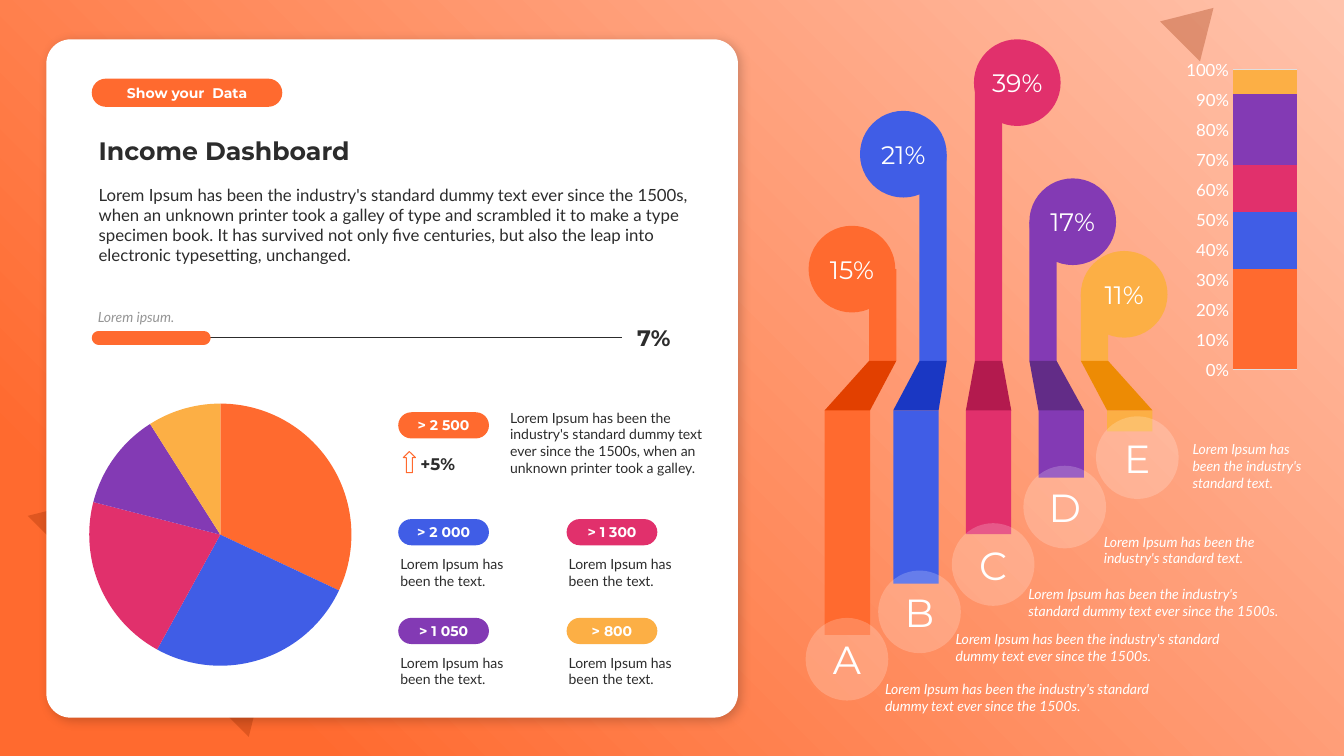
from lxml import etree
from pptx import Presentation
from pptx.chart.data import CategoryChartData
from pptx.dml.color import RGBColor
from pptx.enum.chart import XL_CHART_TYPE, XL_TICK_MARK
from pptx.enum.shapes import MSO_CONNECTOR, MSO_SHAPE
from pptx.enum.text import MSO_ANCHOR, PP_ALIGN
from pptx.oxml import parse_xml
from pptx.oxml.ns import nsdecls, qn
from pptx.util import Pt

PX = 9144  # 100 px to the inch

RECT, ROUNDED, OVAL = MSO_SHAPE.RECTANGLE, MSO_SHAPE.ROUNDED_RECTANGLE, MSO_SHAPE.OVAL
TRIANGLE, UP_ARROW = MSO_SHAPE.ISOSCELES_TRIANGLE, MSO_SHAPE.UP_ARROW
STRAIGHT = MSO_CONNECTOR.STRAIGHT
TOP, MIDDLE, BOTTOM = MSO_ANCHOR.TOP, MSO_ANCHOR.MIDDLE, MSO_ANCHOR.BOTTOM
LEFT, CENTER = PP_ALIGN.LEFT, PP_ALIGN.CENTER
PIE, STACKED = XL_CHART_TYPE.PIE, XL_CHART_TYPE.COLUMN_STACKED_100
NO_TICK = XL_TICK_MARK.NONE

WHITE = RGBColor(0xFF, 0xFF, 0xFF)
INK = RGBColor(0x2C, 0x2C, 0x2C)
GREY = RGBColor(0x96, 0x96, 0x96)
GRID = RGBColor(0xDF, 0xDF, 0xDF)
BROWN = RGBColor(0x97, 0x2B, 0x00)
ORANGE = RGBColor(0xFF, 0x6A, 0x2F)
BLUE = RGBColor(0x40, 0x5D, 0xE6)
PINK = RGBColor(0xE1, 0x30, 0x6C)
PURPLE = RGBColor(0x83, 0x3A, 0xB4)
YELLOW = RGBColor(0xFC, 0xAF, 0x45)
DARK_ORANGE = RGBColor(0xE2, 0x40, 0x00)
DARK_BLUE = RGBColor(0x1A, 0x37, 0xC3)
DARK_PINK = RGBColor(0xB3, 0x1A, 0x4E)
DARK_PURPLE = RGBColor(0x62, 0x2C, 0x87)
DARK_YELLOW = RGBColor(0xED, 0x8B, 0x04)
PALETTE = [ORANGE, BLUE, PINK, PURPLE, YELLOW]

BODY, HEADING = "Lato", "Montserrat"

GLOW = f"""<a:gradFill {nsdecls('a')} rotWithShape="1"><a:gsLst>
<a:gs pos="0"><a:srgbClr val="FFC3AC"/></a:gs><a:gs pos="85000"><a:srgbClr val="{ORANGE}"/></a:gs>
</a:gsLst><a:path path="circle"><a:fillToRect l="100000" b="100000"/></a:path></a:gradFill>"""
CARD_SHADOW = f"""<a:effectLst {nsdecls('a')}><a:outerShdw blurRad="101600" dist="38100" dir="2700000"
algn="tl" rotWithShape="0"><a:srgbClr val="000000"><a:alpha val="20000"/></a:srgbClr></a:outerShdw></a:effectLst>"""


class Slide:
    """Holds the page and draws styled elements on it, measured in px."""

    def __init__(self, page):
        self.page = page

    def set_text(self, frame, text, size, color, font=BODY, align=LEFT, anchor=TOP,
                 bold=False, italic=False, margins=(10, 5, 10, 5)):
        frame.word_wrap = True
        frame.vertical_anchor = anchor
        (frame.margin_left, frame.margin_top,
         frame.margin_right, frame.margin_bottom) = [m * PX for m in margins]
        para = frame.paragraphs[0]
        para.text = text
        para.alignment = align
        para.font.size, para.font.name = Pt(size), font
        para.font.bold, para.font.italic = bold, italic
        para.font.color.rgb = color

    def text(self, x, y, w, h, text, size, color=INK, **style):
        box = self.page.shapes.add_textbox(x * PX, y * PX, w * PX, h * PX)
        self.set_text(box.text_frame, text, size, color, **style)

    def paint(self, shape, color, opacity=100):
        shape.shadow.inherit = False
        shape.line.fill.background()
        shape.fill.solid()
        shape.fill.fore_color.rgb = color
        if opacity < 100:
            tint = shape._element.spPr.find(".//" + qn("a:srgbClr"))
            etree.SubElement(tint, qn("a:alpha"), val=str(opacity * 1000))

    def shape(self, kind, x, y, w, h, color, opacity=100):
        shape = self.page.shapes.add_shape(kind, x * PX, y * PX, w * PX, h * PX)
        self.paint(shape, color, opacity)
        return shape

    def pill(self, x, y, w, h, label, color):
        pill = self.shape(ROUNDED, x, y, w, h, color)
        pill.adjustments[0] = 0.5
        self.set_text(pill.text_frame, label, 10, WHITE, font=HEADING, bold=True,
                      align=CENTER, anchor=MIDDLE, margins=(0, 0, 0, 0))

    def disc(self, x, y, diameter, label, size, color, opacity=100):
        disc = self.shape(OVAL, x, y, diameter, diameter, color, opacity)
        self.set_text(disc.text_frame, label, size, WHITE, font=HEADING,
                      align=CENTER, anchor=MIDDLE, margins=(0, 5, 0, 5))

    def polygon(self, points, color):
        builder = self.page.shapes.build_freeform(*points[0], scale=PX)
        builder.add_line_segments(points[1:])
        self.paint(builder.convert_to_shape(), color)

    def line(self, x1, x2, y, color, width, cap="flat"):
        line = self.page.shapes.add_connector(STRAIGHT, x1 * PX, y * PX, x2 * PX, y * PX)
        line.line.color.rgb, line.line.width = color, Pt(width)
        properties = line._element.spPr
        properties.find(qn("a:ln")).set("cap", cap)
        etree.SubElement(properties, qn("a:effectLst"))

    def chart(self, kind, x, y, w, h, categories, rows, size, color, plot):
        """Add a chart; plot is the inner plot area as fractions (x, y, w, h) of the frame."""
        data = CategoryChartData()
        data.categories = categories
        for number, values in enumerate(rows, 1):
            data.add_series(f"Series {number}", values)
        chart = self.page.shapes.add_chart(kind, x * PX, y * PX, w * PX, h * PX, data).chart
        chart.has_legend = chart.has_title = False
        chart.font.name, chart.font.size = BODY, Pt(size)
        chart.font.color.rgb = color
        area = chart._chartSpace.find(".//" + qn("c:plotArea"))
        for old in area.findall(qn("c:layout")):
            area.remove(old)
        sizes = "".join(f'<c:{tag} val="{val}"/>' for tag, val in zip("xywh", plot))
        area.insert(0, parse_xml(
            f'<c:layout {nsdecls("c")}><c:manualLayout><c:layoutTarget val="inner"/>'
            f'<c:xMode val="edge"/><c:yMode val="edge"/>{sizes}</c:manualLayout></c:layout>'))
        return chart


def draw_background(slide):
    glow = slide.shape(RECT, 0, 0, 1333, 750, ORANGE)
    properties = glow._element.spPr
    properties.replace(properties.find(qn("a:solidFill")), parse_xml(GLOW))
    for place in [(73, 402, 310, 257), (1159, 1, 56, 47)]:
        slide.shape(TRIANGLE, *place, BROWN, opacity=30).rotation = 45
    card = slide.shape(ROUNDED, 46, 39, 686, 673, WHITE)
    card.adjustments[0] = 0.036
    properties = card._element.spPr
    properties.replace(properties.find(qn("a:effectLst")), parse_xml(CARD_SHADOW))


def draw_card(slide):
    slide.pill(91, 78, 189, 28, "Show your  Data", ORANGE)
    slide.text(88, 129, 616, 40, "Income Dashboard", 18, font=HEADING, bold=True, anchor=BOTTOM)
    slide.text(88, 178, 616, 91, "Lorem Ipsum has been the industry's standard dummy text ever since "
               "the 1500s, when an unknown printer took a galley of type and scrambled it to make a "
               "type specimen book. It has survived not only five centuries, but also the leap into "
               "electronic typesetting, unchanged.", 12)
    slide.text(89, 301, 192, 27, "Lorem ipsum.", 10, GREY, italic=True, anchor=BOTTOM,
               margins=(8, 5, 10, 5))
    slide.line(92, 617, 335, INK, 0.5)
    slide.line(98, 202, 335, ORANGE, 10, cap="rnd")
    slide.text(622, 316, 95, 37, "7%", 16, font=HEADING, bold=True, anchor=MIDDLE)

    pie = slide.chart(PIE, 60, 386, 314, 289, "12345", [[32, 26, 21, 12, 9]], 10, INK,
                      (0.09, 0.05, 0.83, 0.9))
    for index, color in enumerate(PALETTE):
        fill = pie.series[0].points[index].format.fill
        fill.solid()
        fill.fore_color.rgb = color

    tight = (0, 5, 0, 5)
    slide.pill(395, 409, 90, 26, "> 2 500", ORANGE)
    arrow = slide.shape(UP_ARROW, 400, 448, 12, 21, WHITE)
    arrow.line.color.rgb, arrow.line.width = ORANGE, Pt(0.75)
    slide.text(417, 445, 127, 30, "+5%", 12, font=HEADING, bold=True, margins=tight)
    slide.text(506, 401, 210, 77, "Lorem Ipsum has been the industry's standard dummy text ever since "
               "the 1500s, when an unknown printer took a galley.", 10, margins=tight)
    labels = ["> 2 000", "> 1 300", "> 1 050", "> 800"]
    for index, (label, color) in enumerate(zip(labels, PALETTE[1:])):
        row, column = divmod(index, 2)
        x, y = 395 + 167 * column, 515 + 98 * row
        slide.pill(x, y, 90, 26, label, color)
        slide.text(x + 2, y + 31, 131, 44, "Lorem Ipsum has been the text.", 10, margins=tight)


def draw_ribbons(slide):
    fold_top, fold_bottom, stem, strip, blob, badge = 358, 407, 27, 45, 86, 82
    # color, fold color, stem x, strip x, strip bottom, blob x, blob y, share
    ribbons = [
        (ORANGE, DARK_ORANGE, 862, 818, 630, 802, 224, "15%"),
        (BLUE, DARK_BLUE, 912, 886, 579, 853, 110, "21%"),
        (PINK, DARK_PINK, 967, 958, 530, 966, 39, "39%"),
        (PURPLE, DARK_PURPLE, 1021, 1030, 474, 1021, 177, "17%"),
        (YELLOW, DARK_YELLOW, 1072, 1098, 428, 1072, 249, "11%"),
    ]
    for color, dark, stem_x, strip_x, bottom, _, blob_y, _ in ribbons:
        blob_middle = blob_y + blob // 2
        slide.shape(RECT, stem_x, blob_middle, stem, fold_top - blob_middle, color)
        slide.shape(RECT, strip_x, fold_bottom, strip, bottom - fold_bottom, color)
        slide.polygon([(stem_x, fold_top), (stem_x + stem, fold_top),
                       (strip_x + strip, fold_bottom), (strip_x, fold_bottom),
                       (stem_x, fold_top)], dark)
    for color, *_, blob_x, blob_y, share in reversed(ribbons):
        slide.disc(blob_x, blob_y, blob, share, 18, color)

    long_note = "Lorem Ipsum has been the industry's standard dummy text ever since the 1500s."
    short_note = "Lorem Ipsum has been the industry's standard text."
    # letter, badge x, badge y, note x, y, width, height, note
    notes = [
        ("A", 799, 613, 868, 670, 305, 44, long_note),
        ("B", 871, 566, 938, 621, 305, 44, long_note),
        ("C", 944, 519, 1010, 576, 271, 44, long_note),
        ("D", 1015, 462, 1085, 524, 195, 44, short_note),
        ("E", 1087, 413, 1173, 432, 143, 61, short_note),
    ]
    for letter, badge_x, badge_y, *place, note in notes:
        slide.disc(badge_x, badge_y, badge, letter, 28, WHITE, opacity=20)
        slide.text(*place, note, 10, WHITE, italic=True)


def draw_column(slide):
    chart = slide.chart(STACKED, 1175, 53, 114, 330, "1", [[34], [19], [16], [24], [8]], 12, WHITE,
                        (0.42, 0.05, 0.56, 0.9))
    plot = chart.plots[0]
    plot.vary_by_categories = False
    plot.gap_width, plot.overlap = 0, 100
    for series, color in zip(plot.series, PALETTE):
        series.format.fill.solid()
        series.format.fill.fore_color.rgb = color
    chart.category_axis.visible = False
    axis = chart.value_axis
    axis.major_tick_mark = axis.minor_tick_mark = NO_TICK
    axis.format.line.fill.background()
    axis.major_gridlines.format.line.color.rgb = GRID
    axis.major_gridlines.format.line.width = Pt(0.75)
    axis.tick_labels.number_format = "0%"
    axis.tick_labels.number_format_is_linked = False


def main():
    deck = Presentation()
    deck.slide_width, deck.slide_height = 1333 * PX, 750 * PX
    slide = Slide(deck.slides.add_slide(deck.slide_layouts[6]))
    draw_background(slide)
    draw_card(slide)
    draw_ribbons(slide)
    draw_column(slide)
    deck.save("out.pptx")


if __name__ == "__main__":
    main()
